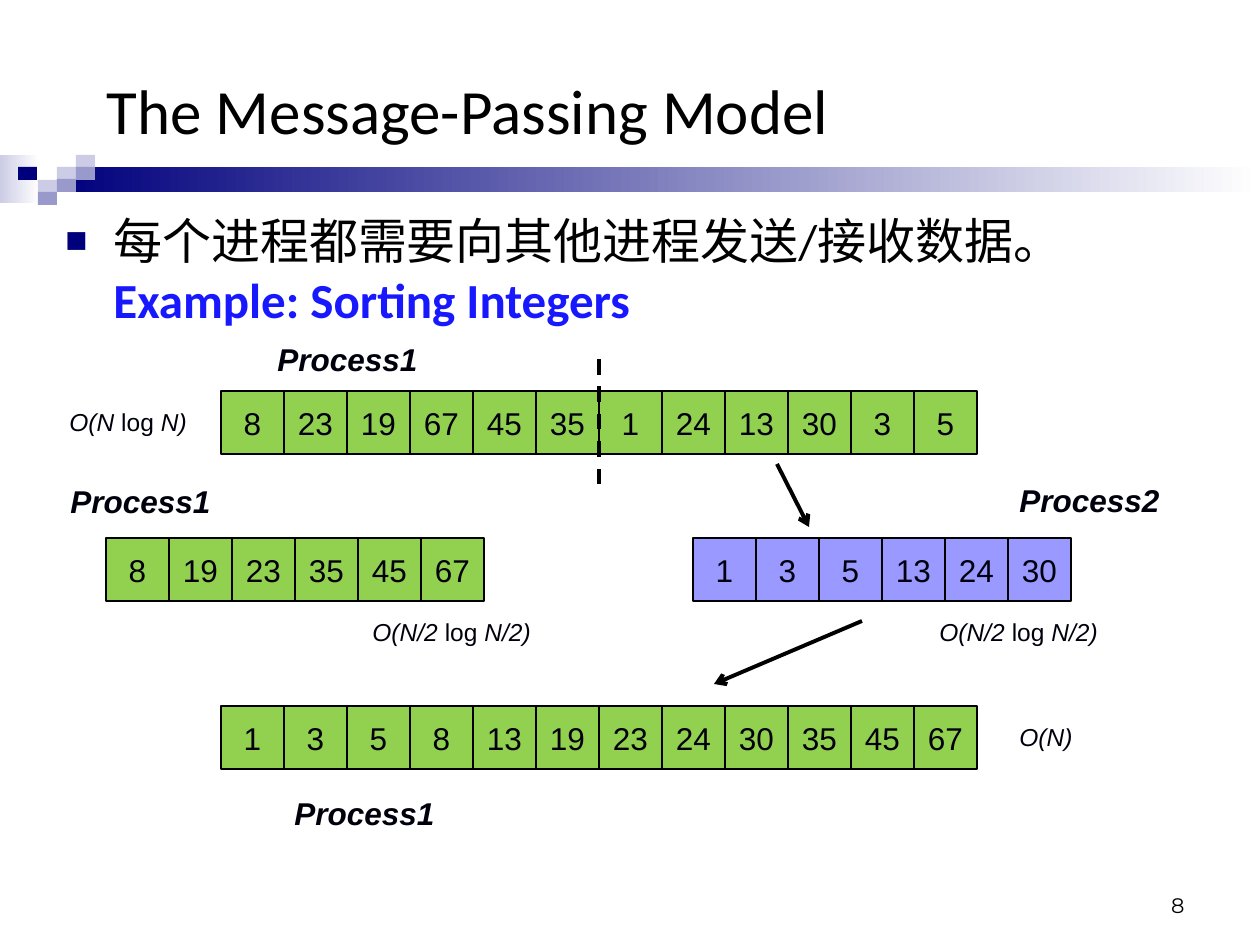
from lxml.etree import SubElement
from pptx import Presentation
from pptx.dml.color import RGBColor
from pptx.enum.dml import MSO_LINE
from pptx.enum.shapes import MSO_CONNECTOR, MSO_SHAPE
from pptx.enum.text import MSO_ANCHOR, MSO_AUTO_SIZE, PP_ALIGN
from pptx.oxml.ns import qn
from pptx.util import Pt

BLACK = RGBColor(0x00, 0x00, 0x00)
WHITE = RGBColor(0xFF, 0xFF, 0xFF)
INK = RGBColor(0x00, 0x00, 0x0D)
NAVY = RGBColor(0x00, 0x00, 0x7D)
BLUE = RGBColor(0x18, 0x18, 0xFF)
PALE = RGBColor(0xCC, 0xCC, 0xE6)
MID = RGBColor(0x99, 0x99, 0xCC)
GREEN = RGBColor(0x92, 0xD0, 0x50)
LILAC = RGBColor(0x99, 0x99, 0xFF)

CELL = 63
HEAD = dict(name="Calibri", size=Pt(36), color=BLACK)
BODY = dict(name="Calibri", size=Pt(28), color=BLACK)
BOLD = dict(BODY, color=BLUE, bold=True)
DIGIT = dict(name="Arial", size=Pt(18), color=INK)
NAME = dict(DIGIT, bold=True, italic=True)
COST = dict(DIGIT, size=Pt(14), italic=True)
LOG = dict(COST, italic=False)
PAGE = dict(name="Montserrat", size=Pt(12), color=BLACK)


def px(*vals):
    """Turn pixel lengths into a list of EMU."""
    return [round(val * 914400 / 126) for val in vals]


def style(font, form):
    """Set font attributes from a dict."""
    for key, val in form.items():
        if key == "color":
            font.color.rgb = val
        else:
            setattr(font, key, val)


def write(frame, runs, align=PP_ALIGN.LEFT, anchor=MSO_ANCHOR.TOP, wrap=True):
    """Fill a text frame with one paragraph of styled runs."""
    form = dict(word_wrap=wrap, auto_size=MSO_AUTO_SIZE.NONE,
                vertical_anchor=anchor)
    for key, val in form.items():
        setattr(frame, key, val)
    para = frame.paragraphs[0]
    para.alignment = align
    for text, look in runs:
        run = para.add_run()
        run.text = text
        style(run.font, look)


def add_title(slide, text):
    """Place and format the title placeholder."""
    title = slide.shapes.title
    title.left, title.top, title.width, title.height = px(94, 53, 1061, 112)
    write(title.text_frame, [(text, HEAD)], anchor=MSO_ANCHOR.MIDDLE)


def add_text(slide, box, runs, **opts):
    """Add a text box and return its first paragraph."""
    frame = slide.shapes.add_textbox(*px(*box)).text_frame
    write(frame, runs, **opts)
    return frame.paragraphs[0]


def add_bullet(para):
    """Give a paragraph a square bullet with a hanging indent."""
    props = para._p.get_or_add_pPr()
    indent = px(48)[0]
    props.set("marL", str(indent))
    props.set("indent", str(-indent))
    tint = SubElement(props, qn("a:buClr"))
    SubElement(tint, qn("a:srgbClr"), val=str(NAVY))
    SubElement(props, qn("a:buSzPct"), val="75000")
    SubElement(props, qn("a:buFont"), typeface="Arial")
    SubElement(props, qn("a:buChar"), char="■")


def add_block(slide, box, color, fade=False):
    """Add a plain block, solid or fading to white."""
    block = slide.shapes.add_shape(MSO_SHAPE.RECTANGLE, *px(*box))
    block.shadow.inherit = False
    block.line.fill.background()
    if fade:
        block.fill.gradient()
        block.fill.gradient_angle = 0
        for stop, tint, place in zip(block.fill.gradient_stops,
                                     (color, WHITE), (0, 1)):
            stop.color.rgb = tint
            stop.position = place
    else:
        block.fill.solid()
        block.fill.fore_color.rgb = color
    return block


def add_array(slide, left, top, nums, color):
    """Add a row of numbered cells."""
    for i, num in enumerate(nums):
        cell = add_block(slide, (left + i * CELL, top, CELL, CELL), color)
        cell.line.color.rgb = BLACK
        cell.line.width = Pt(0.75)
        write(cell.text_frame, [(str(num), DIGIT)], PP_ALIGN.CENTER,
              MSO_ANCHOR.MIDDLE)


def add_line(slide, ends, arrow=True):
    """Add an arrow, or a dashed divider."""
    link = slide.shapes.add_connector(MSO_CONNECTOR.STRAIGHT, *px(*ends))
    link.line.color.rgb = BLACK
    link.line.width = Pt(2.25)
    if arrow:
        SubElement(link.line._get_or_add_ln(), qn("a:tailEnd"), type="arrow")
    else:
        link.line.dash_style = MSO_LINE.DASH
    SubElement(link._element.spPr, qn("a:effectLst"))


def add_band(slide):
    """Add the fading band and its small tiles."""
    add_block(slide, (0, 155, 39, 48), PALE, fade=True)
    add_block(slide, (57, 167, 1203, 25), NAVY, fade=True)
    tiles = [(57, 167, PALE), (76, 155, PALE), (76, 167, MID),
             (38, 180, PALE), (18, 167, NAVY), (57, 179, MID),
             (38, 192, MID)]
    for left, top, color in tiles:
        add_block(slide, (left, top, 19, 13), color)


def main():
    """Build the slide and save it."""
    deck = Presentation()
    deck.slide_width, deck.slide_height = px(1260, 945)
    slide = deck.slides.add_slide(deck.slide_layouts[5])
    add_band(slide)
    add_title(slide, "The Message-Passing Model")
    body = add_text(slide, (53, 204, 1155, 147),
                    [("每个进程都需要向其他进程发送/接收数据。 ", BODY),
                     ("Example: Sorting Integers", BOLD)])
    add_bullet(body)

    first = [8, 23, 19, 67, 45, 35]
    last = [1, 24, 13, 30, 3, 5]
    add_array(slide, 221, 391, first + last, GREEN)
    add_array(slide, 106, 538, sorted(first), GREEN)
    add_array(slide, 693, 538, sorted(last), LILAC)
    add_array(slide, 221, 706, sorted(first + last), GREEN)

    add_line(slide, (599, 359, 599, 495), arrow=False)
    add_line(slide, (777, 464, 809, 527))
    add_line(slide, (862, 621, 714, 684))

    names = [(265, 334, 1), (58, 476, 1), (1007, 475, 2), (282, 788, 1)]
    for left, top, num in names:
        add_text(slide, (left, top, 165, 50), [(f"Process{num}", NAME)],
                 wrap=False)
    costs = [(57, 401, 142, "N"), (360, 611, 183, "N/2"),
             (927, 611, 183, "N/2")]
    for left, top, width, size in costs:
        add_text(slide, (left, top, width, 43),
                 [(f"O({size} ", COST), ("log", LOG), (f" {size})", COST)],
                 wrap=False)
    add_text(slide, (1007, 716, 78, 43), [("O(N)", COST)], wrap=False)
    add_text(slide, (903, 861, 294, 63), [("8", PAGE)],
             align=PP_ALIGN.RIGHT, anchor=MSO_ANCHOR.BOTTOM)
    deck.save("out.pptx")


if __name__ == "__main__":
    main()
